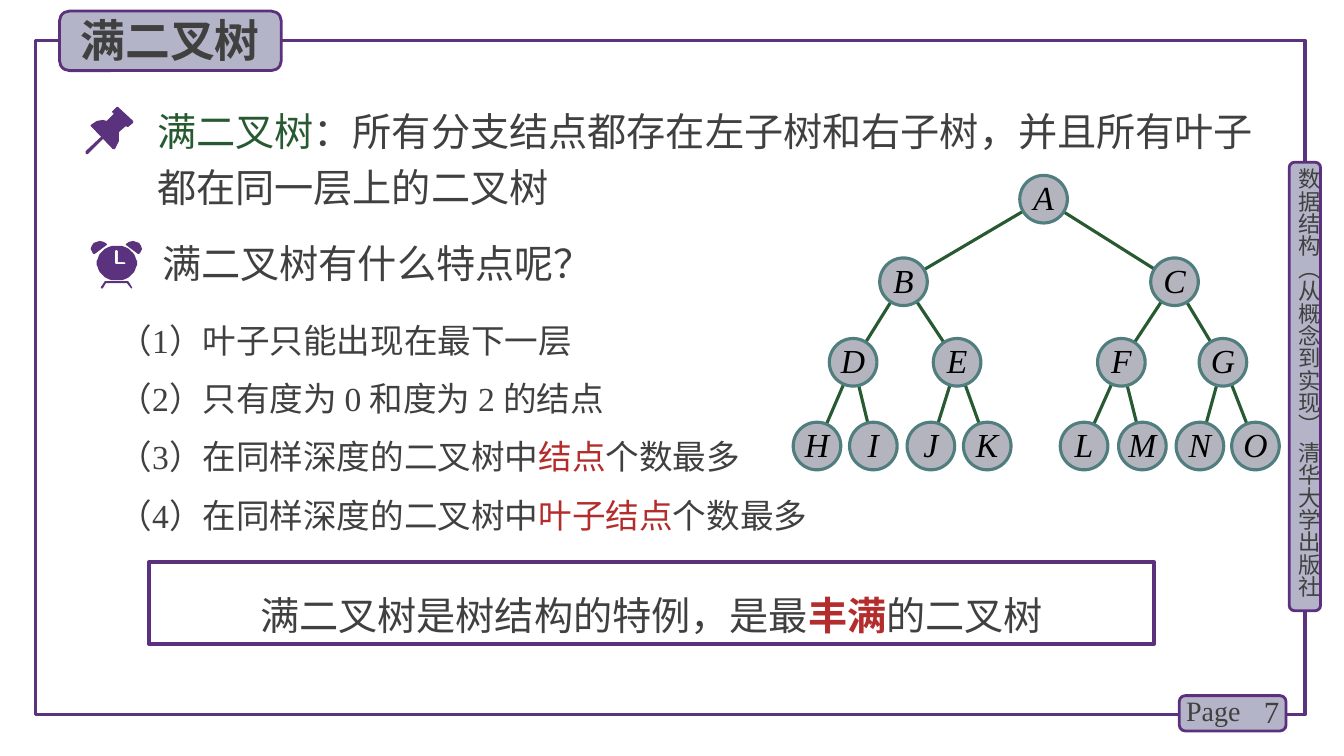
from math import cos, sin, pi, hypot
from lxml.etree import SubElement
from pptx import Presentation
from pptx.dml.color import RGBColor
from pptx.enum.shapes import MSO_SHAPE as Kind, MSO_CONNECTOR as Link
from pptx.enum.text import PP_ALIGN as Align, MSO_ANCHOR as Anchor, MSO_AUTO_SIZE as Fit
from pptx.oxml.ns import qn
from pptx.util import Cm, Pt

SANS, SERIF = "Noto Sans CJK SC", "Times New Roman"
INK, RED, GREEN = "404040", "B42D2D", "285A32"
PLUM, EDGE, LILAC = "5A327D", "5C307D", "B4B4C8"
GREY, TEAL = "B4B4BE", "507D7D"


def tint(code):
    return RGBColor.from_string(code)


def apply(item, style):
    for key, value in style.items():
        setattr(item, key, value)


class Board:
    def __init__(self, slide):
        self.slide = slide
        self.shapes = slide.shapes
        self.pad = (0.25, 0.13)

    def paint(self, shape, fill=None, line=None, width=2):
        shape.shadow.inherit = False
        if fill:
            shape.fill.solid()
            shape.fill.fore_color.rgb = tint(fill)
        else:
            shape.fill.background()
        if line:
            shape.line.color.rgb = tint(line)
            shape.line.width = Pt(width)
        else:
            shape.line.fill.background()

    def box(self, kind, place, fill=None, line=None, width=2):
        shape = self.shapes.add_shape(kind, *map(Cm, place))
        self.paint(shape, fill, line, width)
        return shape

    def label(self, shape, runs, size, font=SANS, pad=None, anchor=Anchor.TOP, **para):
        frame = shape.text_frame
        side, top = map(Cm, pad or self.pad)
        apply(frame, {
            "word_wrap": True, "auto_size": Fit.NONE, "vertical_anchor": anchor,
            "margin_left": side, "margin_right": side,
            "margin_top": top, "margin_bottom": top,
        })
        line = frame.paragraphs[0]
        apply(line, {"alignment": Align.LEFT, **para})
        for text, style in runs:
            run = line.add_run()
            run.text = text
            style = dict(style)
            run.font.color.rgb = tint(style.pop("ink", INK))
            apply(run.font, {"name": font, "size": Pt(size), "bold": False, **style})
            east = SubElement(run._r.get_or_add_rPr(), qn("a:ea"))
            east.set("typeface", SANS)

    def text(self, place, runs, size, **style):
        shape = self.shapes.add_textbox(*map(Cm, place))
        self.label(shape, runs, size, **style)
        return shape

    def title(self, place, text, size, under):
        shape = self.shapes.title
        apply(shape, dict(zip(("left", "top", "width", "height"), map(Cm, place))))
        self.label(shape, [(text, {"bold": True})], size)
        under.element.addnext(shape.element)

    def line(self, start, end, color, width):
        link = self.shapes.add_connector(Link.STRAIGHT, *map(Cm, (*start, *end)))
        link.line.color.rgb = tint(color)
        link.line.width = Pt(width)
        SubElement(link._element.spPr, qn("a:effectLst"))

    def icon(self, *rings):
        pen = self.shapes.build_freeform(*rings[0][0], scale=Cm(0.0254))
        for i, ring in enumerate(rings):
            if i:
                pen.move_to(*ring[0])
            pen.add_line_segments(ring[1:], close=True)
        self.paint(pen.convert_to_shape(), PLUM)


def draw_frame(board):
    board.box(Kind.RECTANGLE, (0.89, 1.02, 32, 16.99), None, PLUM, 2.25)
    board.box(Kind.ROUNDED_RECTANGLE, (32.49, 4.09, 0.79, 11.3), LILAC, EDGE)
    press = board.text((32.64, 4.24, 0.69, 11.4),
                       [("数据结构（从概念到实现） 清华大学出版社", {})], 16, pad=(0, 0))
    press.text_frame._txBody.bodyPr.set("vert", "eaVert")
    board.box(Kind.ROUNDED_RECTANGLE, (29.72, 17.53, 2.69, 0.89), LILAC, EDGE)
    board.text((30.99, 17.42, 1.5, 1.02), [("7", {})], 22, font=SERIF,
               anchor=Anchor.MIDDLE, alignment=Align.RIGHT)
    board.text((29.64, 17.35, 1.98, 1.12), [("Page", {})], 20, font=SERIF)
    tab = board.box(Kind.ROUNDED_RECTANGLE, (1.5, 0.28, 5.59, 1.5), LILAC, EDGE)
    board.title((1.78, 0.18, 6.35, 1.63), "满二叉树", 32, tab)


def draw_icons(board):
    board.icon([(132, 120), (117, 106), (116, 106), (111, 111), (113, 113), (106, 120),
                (102, 119), (96, 120.5), (90, 124), (90, 125), (112, 148), (114, 148),
                (118, 140), (118, 131), (125, 125), (126, 126), (127, 126), (132, 122)])
    board.icon([(86, 153), (85, 152), (85, 150), (101, 135), (103, 135), (103, 137),
                (87, 153)])
    board.icon([(131, 285), (128, 280), (127, 279), (104, 279), (100, 285), (100, 286),
                (102, 286), (105, 281), (126, 281), (130, 286), (131, 286)])
    bell = [(99, 239), (96, 239.5), (92.6, 241.1), (90.6, 244), (90, 247), (92, 251),
            (93, 252), (94, 252), (106, 243), (106, 242), (103, 240)]
    board.icon(bell)
    board.icon([(231 - x, y) for x, y in bell])
    turns = [2 * pi * i / 48 for i in range(48)]
    face = [(116 + 19.7 * cos(t), 261 + 17.2 * sin(t)) for t in turns]
    hands = [(123, 262), (115, 262), (114, 261), (114, 249), (115, 248), (116, 248),
             (117, 249), (117, 260), (123, 260), (125, 261), (124, 262)]
    board.icon(face, hands)


def draw_text(board):
    board.text((3.96, 2.36, 28.22, 3.1), [
        ("满二叉树", {"ink": GREEN}),
        ("：所有分支结点都存在左子树和右子树，并且所有叶子都在同一层上的二叉树", {}),
    ], 28, font=SERIF, pad=(0, 0.13), line_spacing=Pt(40))
    board.text((3.84, 5.89, 13.31, 1.45), [("满二叉树有什么特点呢？", {})], 28)
    sans, red = {"name": SANS}, {"name": SANS, "ink": RED}
    same = ("在同样深度的二叉树中", sans)
    most = ("个数最多", sans)
    traits = [
        [("（1）", {}), ("叶子只能出现在最下一层", sans)],
        [("（2）只有度为 0 和度为 2 的结点", {})],
        [("（3）", {}), same, ("结点", red), most],
        [("（4）", {}), same, ("叶子结点", red), most],
    ]
    for i, runs in enumerate(traits):
        board.text((2.74, 7.54 + 1.465 * i, 19.25, 1.68), runs, 24, font=SERIF,
                   line_spacing=Pt(40))
    sum_box = board.box(Kind.RECTANGLE, (3.76, 14.17, 25.32, 2.06), None, EDGE, 3)
    board.label(sum_box, [
        ("满二叉树是树结构的特例，是最", {}),
        ("丰满", {"ink": RED, "bold": True}),
        ("的二叉树", {}),
    ], 28, anchor=Anchor.MIDDLE, alignment=Align.CENTER, line_spacing=1.5)


def draw_tree(board):
    rows = [
        (5.02, [26.3]),
        (7.1, [22.77, 29.6]),
        (9.13, [21.5, 24.12, 28.26, 30.82]),
        (11.24, [20.59, 22.01, 23.46, 24.88, 27.32, 28.79, 30.24, 31.64]),
    ]
    nodes = [(x, y) for y, row in rows for x in row]
    size, trim = 1.2, 0.5
    for i, (x, y) in enumerate(nodes[1:], 1):
        px, py = nodes[(i - 1) // 2]
        span = hypot(x - px, y - py)
        dx, dy = trim * (x - px) / span, trim * (y - py) / span
        board.line((px + dx, py + dy), (x - dx, y - dy), GREEN, 2.25)
    for name, (x, y) in zip("ABCDEFGHIJKLMNO", nodes):
        node = board.box(Kind.OVAL, (x - size / 2, y - size / 2, size, size),
                         GREY, TEAL, 2.25)
        board.label(node, [(name, {"ink": "000000", "italic": True})], 24, font=SERIF,
                    pad=(0, 0), alignment=Align.CENTER, line_spacing=Pt(25))


def main():
    deck = Presentation()
    deck.slide_width, deck.slide_height = Cm(33.87), Cm(19.05)
    board = Board(deck.slides.add_slide(deck.slide_layouts[5]))
    for draw in (draw_frame, draw_icons, draw_text, draw_tree):
        draw(board)
    deck.save("out.pptx")


if __name__ == "__main__":
    main()
